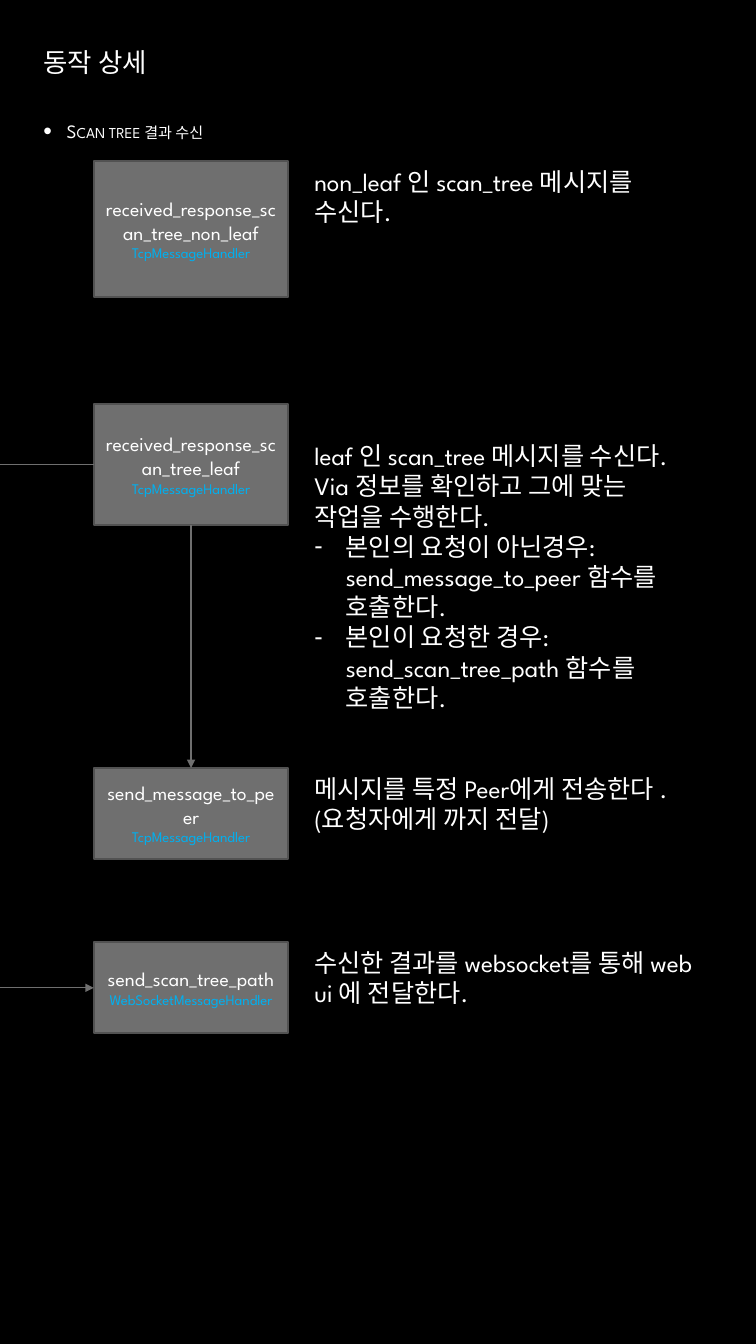
"""Build the slide that details how scan tree results are received."""
from dataclasses import dataclass

from lxml import etree
from pptx import Presentation
from pptx import util as u
from pptx.dml.color import RGBColor
from pptx.enum import shapes, text
from pptx.oxml import ns

HUES = {"back": "000000", "text": "FFFFFF", "box": "6F6F6F",
        "edge": "525252", "class": "00B0F0"}
LATIN, HANGUL = "League Spartan", "Noto Sans CJK KR"
BOX_X, BOX_W, NOTE_X = 67, 139, 217.4


@dataclass
class Step:
    """A function box with the note beside it."""
    name: str
    owner: str
    top: float
    high: float
    note: str
    points: tuple[str, ...] = ()
    drop: float = 0
    wide: float = 284.4
    tall: float = 51


STEPS = [
    Step("received_response_scan_tree_non_leaf", "TcpMessageHandler", 115.2, 97.2,
         "non_leaf 인 scan_tree 메시지를 수신다.", wide=275),
    Step("received_response_scan_tree_leaf", "TcpMessageHandler", 288.7, 86.4,
         "leaf 인 scan_tree 메시지를 수신다. Via 정보를 확인하고 그에 맞는 작업을 수행한다.",
         ("본인의 요청이 아닌경우: send_message_to_peer 함수를 호출한다.",
          "본인이 요청한 경우: send_scan_tree_path 함수를 호출한다."),
         drop=22.3, tall=204),
    Step("send_message_to_peer", "TcpMessageHandler", 548.6, 64.8,
         "메시지를 특정 Peer에게 전송한다 .(요청자에게 까지 전달)"),
    Step("send_scan_tree_path", "WebSocketMessageHandler", 673.2, 64.8,
         "수신한 결과를 websocket를 통해 web ui 에 전달한다."),
]


def hue(key: str) -> RGBColor:
    """Look up a colour by its role."""
    return RGBColor.from_string(HUES[key])


def add(node, tag: str, **attrs: str):
    """Append a drawing element to a node."""
    return etree.SubElement(node, ns.qn(tag), attrs)


def write(frame, words: str, size: float, color: str = "text", font: str = LATIN,
          align=text.PP_ALIGN.LEFT, mark: str = "", hang: float = 0,
          scale: int = 100, caps: bool = False, before: float = 0, after: float = 0):
    """Write one formatted paragraph into a text frame."""
    para = frame.paragraphs[0]
    if para.runs:
        para = frame.add_paragraph()
    para.alignment = align
    para.space_before, para.space_after = u.Pt(before), u.Pt(after)
    if mark:
        props = para._p.get_or_add_pPr()
        props.set("marL", str(u.Pt(hang)))
        props.set("indent", str(-u.Pt(hang)))
        add(add(props, "a:buClr"), "a:srgbClr", val=HUES["text"])
        add(props, "a:buSzPct", val=str(scale * 1000))
        add(props, "a:buFont", typeface="Arial")
        add(props, "a:buChar", char=mark)
    run = para.add_run()
    run.text = words
    run.font.size, run.font.name = u.Pt(size), font
    run.font.color.rgb = hue(color)
    props = run._r.get_or_add_rPr()
    add(props, "a:ea", typeface=HANGUL)
    if caps:
        props.set("cap", "small")


def place(shape, left: float, top: float, wide: float, high: float):
    """Move a placeholder and return its text frame."""
    shape.left, shape.top = u.Pt(left), u.Pt(top)
    shape.width, shape.height = u.Pt(wide), u.Pt(high)
    shape.text_frame.auto_size = text.MSO_AUTO_SIZE.NONE
    return shape.text_frame


def draw(slide, step: Step):
    """Draw one step and return its box."""
    box = slide.shapes.add_shape(shapes.MSO_SHAPE.RECTANGLE, u.Pt(BOX_X),
                                 u.Pt(step.top), u.Pt(BOX_W), u.Pt(step.high))
    box.shadow.inherit = False
    box.fill.solid()
    box.fill.fore_color.rgb = hue("box")
    box.line.color.rgb, box.line.width = hue("edge"), u.Pt(1.5)
    frame = box.text_frame
    frame.word_wrap, frame.vertical_anchor = True, text.MSO_ANCHOR.MIDDLE
    write(frame, step.name, 14, align=text.PP_ALIGN.CENTER)
    write(frame, step.owner, 10.5, color="class", align=text.PP_ALIGN.CENTER)

    note = slide.shapes.add_textbox(u.Pt(NOTE_X), u.Pt(step.top + step.drop),
                                    u.Pt(step.wide), u.Pt(step.tall)).text_frame
    note.word_wrap = True
    write(note, step.note, 18)
    for point in step.points:
        write(note, point, 18, mark="-", hang=22.5)
    return box


def link(slide, box, side: int, start=None, width: float = 0.75, head: bool = True):
    """Join a box side to another box above, or to the slide's left edge."""
    level = box.top + box.height // 2
    line = slide.shapes.add_connector(shapes.MSO_CONNECTOR.STRAIGHT,
                                      0, level, box.left, level)
    if start is not None:
        line.begin_connect(start, 2)
    line.end_connect(box, side)
    line.line.color.rgb, line.line.width = hue("box"), u.Pt(width)
    if head:
        add(line.line._get_or_add_ln(), "a:tailEnd", type="triangle")
    add(line._element.spPr, "a:effectLst")


def main():
    """Build and save the slide."""
    deck = Presentation()
    deck.slide_width, deck.slide_height = u.Pt(540), u.Pt(960)
    slide = deck.slides.add_slide(deck.slide_layouts[1])
    slide.background.fill.solid()
    slide.background.fill.fore_color.rgb = hue("back")

    title = place(slide.shapes.title, 23.8, 28.8, 494, 30.2)
    title.vertical_anchor = text.MSO_ANCHOR.MIDDLE
    write(title, "동작 상세", 18.9, font=HANGUL)
    body = place(slide.placeholders[1], 23.8, 82, 494, 226)
    write(body, "Scan tree 결과 수신", 13.5, mark="•", hang=16.6, scale=130,
          caps=True, before=2.7, after=4.5)

    _, leaf, peer, route = [draw(slide, step) for step in STEPS]
    link(slide, peer, 0, start=leaf, width=2)
    link(slide, leaf, 1, head=False)
    link(slide, route, 1)
    deck.save("out.pptx")


if __name__ == "__main__":
    main()
